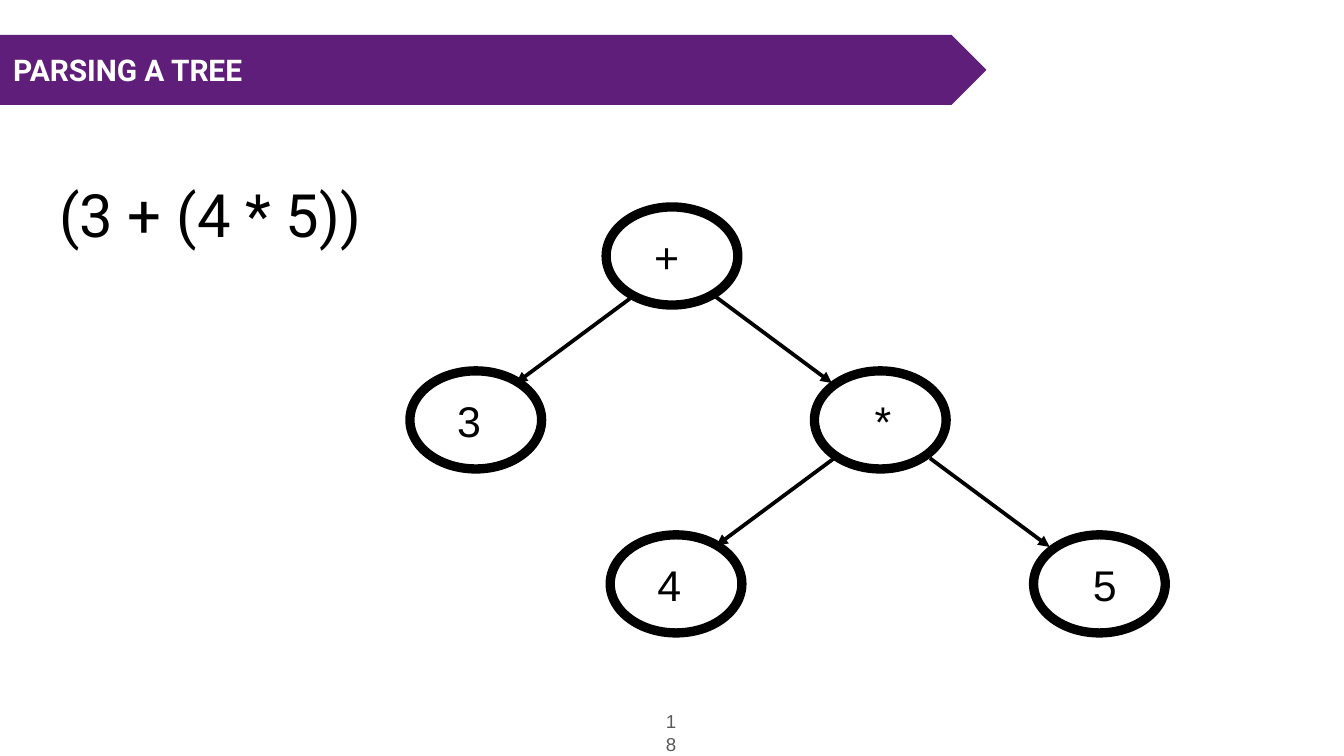
from pptx import Presentation
from pptx.dml.color import RGBColor
from pptx.enum.shapes import MSO_CONNECTOR, MSO_SHAPE
from pptx.enum.text import MSO_ANCHOR, PP_ALIGN
from pptx.oxml.ns import qn
from pptx.util import Inches, Pt
from lxml.etree import SubElement

COLORS = {"ink": "000000", "paper": "FFFFFF", "banner": "5F1E7A", "number": "595959"}
NODE_WIDTH, NODE_HEIGHT = 0.98, 0.73
ARROW_RUN, ARROW_DROP = 0.89, 0.66
NODES = [
    ("+", 4.51, 1.54, -0.04),
    ("3", 3.05, 2.76, -0.05),
    ("*", 6.06, 2.76, 0.02),
    ("4", 4.54, 3.98, -0.05),
    ("5", 7.69, 3.98, 0.04),
]
ARROWS = [(4.73, 2.19, -1), (5.3, 2.19, 1), (6.22, 3.4, -1), (6.92, 3.41, 1)]


def color(name):
    """Return the named colour."""
    return RGBColor.from_string(COLORS[name])


def write(shape, text, size, font, ink, align=PP_ALIGN.LEFT, bold=False, inset=0.1):
    """Write one formatted run, centred vertically in the shape."""
    frame = shape.text_frame
    frame.word_wrap = True
    frame.vertical_anchor = MSO_ANCHOR.MIDDLE
    frame.margin_left = frame.margin_right = Inches(inset)
    frame.margin_top = frame.margin_bottom = Inches(inset)
    para = frame.paragraphs[0]
    para.alignment = align
    span = para.add_run()
    span.text = text
    span.font.size = Pt(size)
    span.font.name = font
    span.font.bold = bold
    span.font.color.rgb = color(ink)


def add_formula(page, text):
    """Place the formula in the title placeholder."""
    title = page.shapes.title
    title.left, title.top = Inches(0.34), Inches(1.23)
    title.width, title.height = Inches(9.32), Inches(0.72)
    write(title, text, 32, "Roboto", "ink")


def add_banner(page, text):
    """Add the arrow-shaped heading banner."""
    banner = page.shapes.add_shape(
        MSO_SHAPE.PENTAGON, Inches(0), Inches(0.26), Inches(7.34), Inches(0.52)
    )
    banner.shadow.inherit = False
    banner.fill.solid()
    banner.fill.fore_color.rgb = color("banner")
    banner.line.fill.background()
    write(banner, text, 16, "Roboto", "paper", bold=True)


def add_node(tree, label, left, top, shift):
    """Add an oval tree node whose label sits slightly off centre."""
    node = tree.shapes.add_shape(
        MSO_SHAPE.OVAL, Inches(left), Inches(top), Inches(NODE_WIDTH), Inches(NODE_HEIGHT)
    )
    node.shadow.inherit = False
    node.fill.solid()
    node.fill.fore_color.rgb = color("paper")
    node.line.color.rgb = color("ink")
    node.line.width = Pt(5)
    write(node, label, 23, "Arial", "ink", PP_ALIGN.CENTER, inset=0)
    node.text_frame.margin_left = Inches(max(2 * shift, 0))
    node.text_frame.margin_right = Inches(max(-2 * shift, 0))


def add_arrow(tree, x, y, direction):
    """Add an arrow from a parent down to its left or right child."""
    arrow = tree.shapes.add_connector(
        MSO_CONNECTOR.STRAIGHT,
        Inches(x),
        Inches(y),
        Inches(x + direction * ARROW_RUN),
        Inches(y + ARROW_DROP),
    )
    arrow.line.color.rgb = color("ink")
    arrow.line.width = Pt(2)
    SubElement(arrow.line._get_or_add_ln(), qn("a:tailEnd"), type="triangle")
    SubElement(arrow._element.spPr, qn("a:effectLst"))


def add_page_number(page, text):
    """Add the narrow page number box."""
    box = page.shapes.add_textbox(Inches(4.85), Inches(5.34), Inches(0.28), Inches(0.22))
    write(box, text, 10, "Arial", "number", PP_ALIGN.RIGHT)


def main():
    """Build the slide and save the deck."""
    deck = Presentation()
    deck.slide_width = Inches(10)
    deck.slide_height = deck.slide_width * 9 // 16
    page = deck.slides.add_slide(deck.slide_layouts[5])
    add_formula(page, "(3 + (4 * 5))")
    add_page_number(page, "18")
    tree = page.shapes.add_group_shape()
    for node in NODES:
        add_node(tree, *node)
    for arrow in ARROWS:
        add_arrow(tree, *arrow)
    add_banner(page, "PARSING A TREE")
    deck.save("out.pptx")


if __name__ == "__main__":
    main()
